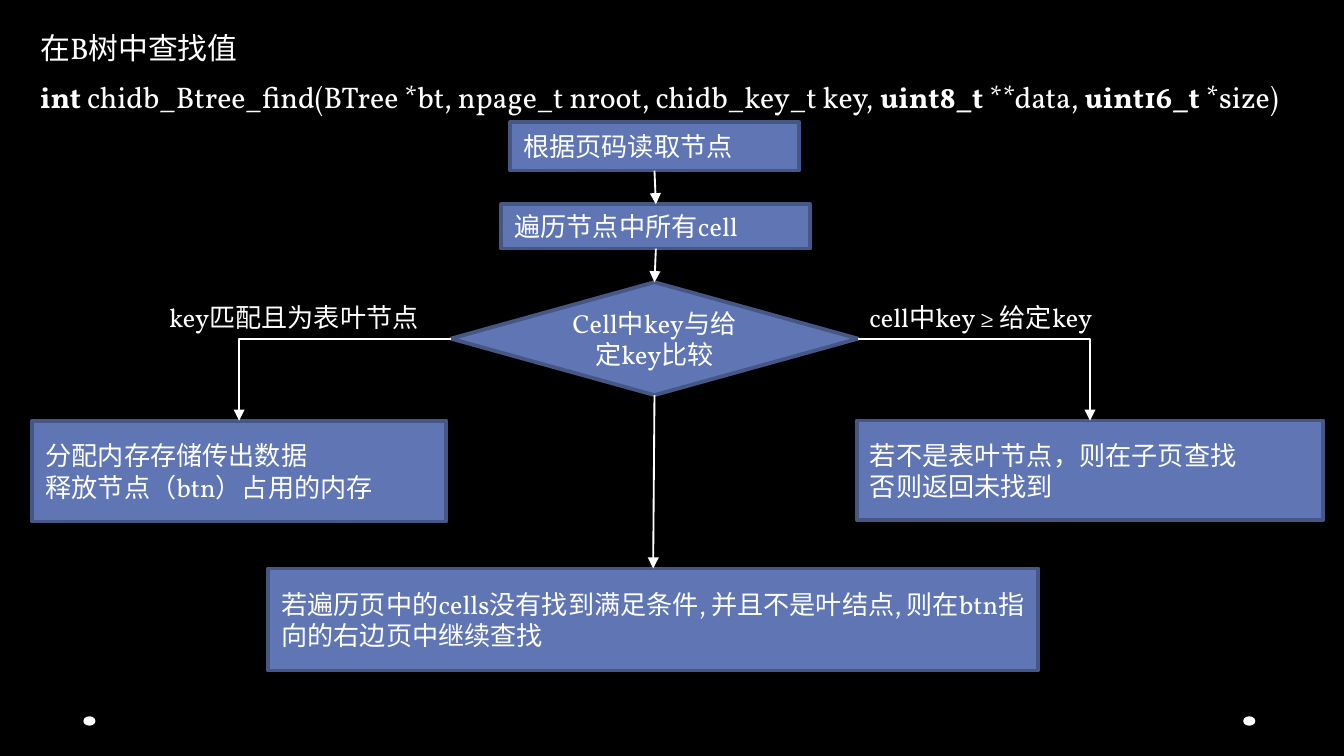
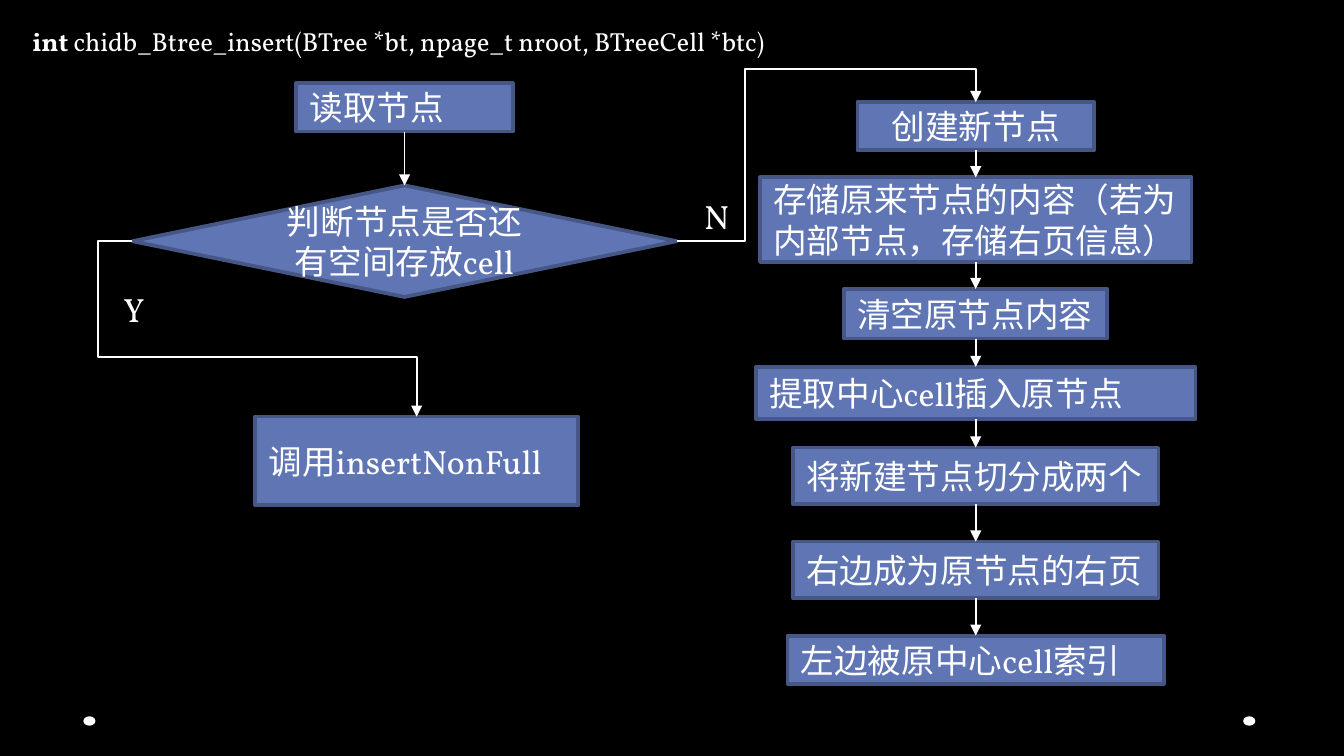
from itertools import pairwise

from lxml.etree import SubElement
from pptx import Presentation
from pptx.dml.color import RGBColor
from pptx.enum.shapes import MSO_CONNECTOR as Link, MSO_SHAPE as Shape
from pptx.enum.text import MSO_ANCHOR as Anchor, MSO_AUTO_SIZE as AutoSize, PP_ALIGN as Align
from pptx.oxml.ns import qn
from pptx.util import Inches, Pt

WHITE, BLACK, BLUE, EDGE = "FFFFFF", "000000", "6076B4", "475785"
TOP, LEFT, BOTTOM, RIGHT = range(4)
FRAME = {"word_wrap": True, "vertical_anchor": Anchor.TOP}


def color(value):
    return RGBColor.from_string(value)


def apply(target, formats):
    for key, value in formats.items():
        setattr(target, key, value)


def paint(format_part, value):
    format_part.solid()
    format_part.fore_color.rgb = color(value)


def write(frame, paragraphs, size, align=Align.LEFT, **formats):
    apply(frame, FRAME | formats)
    for index, runs in enumerate(paragraphs):
        paragraph = frame.add_paragraph() if index else frame.paragraphs[0]
        paragraph.alignment = align
        for words, bold in runs:
            run = paragraph.add_run()
            run.text = words
            apply(run.font, {"name": "Vollkorn", "size": Pt(size), "bold": bold})
            run.font.color.rgb = color(WHITE)


def plain(text):
    return [[(line, False)] for line in text.split("\n")]


def title(slide, box, runs, size):
    heading = slide.shapes.title
    apply(heading, dict(zip(("left", "top", "width", "height"), map(Inches, box))))
    write(heading.text_frame, [runs], size, auto_size=AutoSize.SHAPE_TO_FIT_TEXT)


def label(slide, box, paragraphs, size):
    caption = slide.shapes.add_textbox(*map(Inches, box))
    write(caption.text_frame, paragraphs, size, auto_size=AutoSize.SHAPE_TO_FIT_TEXT)


def node(slide, center, top, width, height, text, size, kind=Shape.RECTANGLE, align=Align.LEFT):
    step = slide.shapes.add_shape(
        kind, *map(Inches, (center - width / 2, top, width, height)))
    step.shadow.inherit = False
    paint(step.fill, BLUE)
    paint(step.line.fill, EDGE)
    step.line.width = Pt(2)
    write(step.text_frame, plain(text), size, align, vertical_anchor=Anchor.MIDDLE)
    return step


def decision(slide, center, top, width, height, text, size):
    return node(slide, center, top, width, height, text, size, Shape.DIAMOND, Align.CENTER)


def arrow(slide, source, target, exit_side=BOTTOM, bend=None, adjustments=()):
    kind = Link.ELBOW if bend else Link.STRAIGHT
    flow = slide.shapes.add_connector(kind, 0, 0, 0, 0)
    flow.begin_connect(source, exit_side)
    flow.end_connect(target, TOP)
    paint(flow.line.fill, WHITE)
    flow.line.width = Pt(1)
    properties = flow.element.spPr
    SubElement(properties.find(qn("a:ln")), qn("a:tailEnd"), type="triangle")
    SubElement(properties, qn("a:effectLst"))
    if bend:
        geometry = properties.find(qn("a:prstGeom"))
        geometry.set("prst", bend)
        guides = geometry.find(qn("a:avLst"))
        for number, ratio in enumerate(adjustments, 1):
            SubElement(guides, qn("a:gd"), name=f"adj{number}",
                       fmla=f"val {round(ratio * 100000)}")


def chain(slide, steps):
    for source, target in pairwise(steps):
        arrow(slide, source, target)


def style_layout(layout, slide):
    paint(layout.background.fill, BLACK)
    for holder in list(layout.placeholders):
        if holder.placeholder_format.idx:
            holder.element.getparent().remove(holder.element)
    for left in (9.25, 0.62):
        dot = slide.shapes.add_shape(Shape.OVAL, *map(Inches, (left, 5.33, 0.09, 0.07)))
        dot.shadow.inherit = False
        paint(dot.fill, WHITE)
        dot.line.fill.background()
        layout.element.cSld.spTree.append(dot.element)


def find_slide(slide):
    title(slide, (0.2, 0.17, 2.96, 0.37), [("在B树中查找值", False)], 16)
    label(slide, (0.2, 0.54, 11.03, 0.37), [[
        ("int ", True),
        ("chidb_Btree_find(BTree *bt, npage_t nroot, chidb_key_t key, ", False),
        ("uint8_t", True), (" **data, ", False),
        ("uint16_t", True), (" *size)", False)]], 16)
    label(slide, (1.16, 2.19, 2.13, 0.34), plain("key匹配且为表叶节点"), 14)
    label(slide, (6.37, 2.19, 2.17, 0.34), plain("cell中key ≥ 给定key"), 14)
    read = node(slide, 4.87, 0.91, 2.15, 0.36, "根据页码读取节点", 14)
    scan = node(slide, 4.88, 1.52, 2.3, 0.33, "遍历节点中所有cell", 14)
    compare = decision(slide, 4.87, 2.1, 3.03, 0.84, "Cell中key与给定key比较", 14)
    matched = node(slide, 1.78, 3.13, 3.08, 0.75,
                   "分配内存存储传出数据\n释放节点（btn）占用的内存", 14)
    child = node(slide, 8.11, 3.13, 3.47, 0.74,
                 "若不是表叶节点，则在子页查找\n否则返回未找到", 14)
    right_page = node(slide, 4.86, 4.23, 5.73, 0.76,
                      "若遍历页中的cells没有找到满足条件, 并且不是叶结点, 则在btn指向的右边页中继续查找", 14)
    chain(slide, (read, scan, compare, right_page))
    arrow(slide, compare, matched, LEFT, "bentConnector2")
    arrow(slide, compare, child, RIGHT, "bentConnector2")


def insert_slide(slide):
    title(slide, (0.14, 0.14, 9.72, 0.34), [
        ("int ", True),
        ("chidb_Btree_insert(BTree *bt, npage_t nroot, BTreeCell *btc)", False)], 14)
    read = node(slide, 3.01, 0.62, 1.61, 0.36, "读取节点", 18)
    has_room = decision(slide, 3.01, 1.38, 4.05, 0.83, "判断节点是否还有空间存放cell", 18)
    insert = node(slide, 3.1, 3.1, 2.4, 0.66, "调用insertNonFull", 18)
    create = node(slide, 7.26, 0.76, 1.76, 0.36, "创建新节点", 18, align=Align.CENTER)
    split_steps = [
        (1.32, 3.21, 0.63, "存储原来节点的内容（若为内部节点，存储右页信息）"),
        (2.15, 1.96, 0.37, "清空原节点内容"),
        (2.73, 3.27, 0.39, "提取中心cell插入原节点"),
        (3.33, 2.72, 0.42, "将新建节点切分成两个"),
        (4.03, 2.72, 0.42, "右边成为原节点的右页"),
        (4.73, 2.8, 0.36, "左边被原中心cell索引"),
    ]
    split = [node(slide, 7.26, *step, 18) for step in split_steps]
    chain(slide, (read, has_room))
    chain(slide, (create, *split))
    arrow(slide, has_room, insert, LEFT, "bentConnector4", (-0.12, 0.66))
    arrow(slide, has_room, create, RIGHT, "bentConnector4", (0.23, 1.24))
    label(slide, (0.82, 2.1, 0.72, 0.4), plain("Y"), 18)
    label(slide, (5.14, 1.41, 0.94, 0.42), plain("N"), 18)


def main():
    deck = Presentation()
    width = Inches(10)
    apply(deck, {"slide_width": width, "slide_height": width * 9 // 16})
    layout = deck.slide_layouts[5]
    find, insert = (deck.slides.add_slide(layout) for _ in range(2))
    style_layout(layout, find)
    find_slide(find)
    insert_slide(insert)
    deck.save("out.pptx")


if __name__ == "__main__":
    main()
